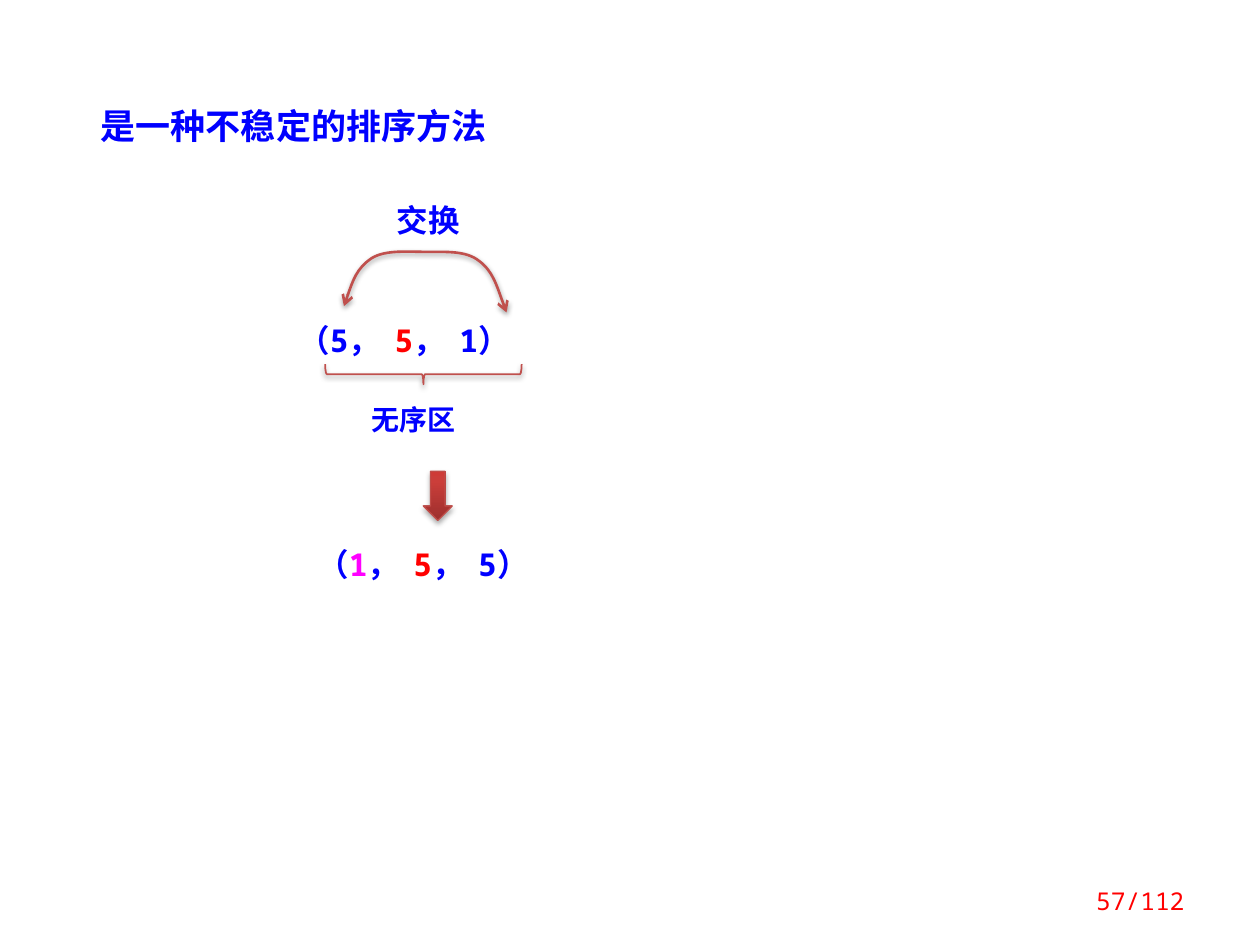
"""Slide showing why the sorting method is unstable, with a swap example."""
import copy

import pptx
import pptx.dml.color
import pptx.enum.shapes
import pptx.enum.text
import pptx.oxml
import pptx.oxml.ns
import pptx.util

Inches = pptx.util.Inches
Pt = pptx.util.Pt
RGBColor = pptx.dml.color.RGBColor
MSO_SHAPE = pptx.enum.shapes.MSO_SHAPE
PP_ALIGN = pptx.enum.text.PP_ALIGN
MSO_ANCHOR = pptx.enum.text.MSO_ANCHOR
qn = pptx.oxml.ns.qn

BLUE = RGBColor(0x00, 0x00, 0xFF)
RED = RGBColor(0xFF, 0x00, 0x00)
MAGENTA = RGBColor(0xFF, 0x00, 0xFF)
BRICK = RGBColor(0xC0, 0x50, 0x4D)
ARROW_EDGE = RGBColor(0xBF, 0x4C, 0x48)
ARROW_STOPS = [
    (0, RGBColor(0x9C, 0x2F, 0x2D)),
    (0.8, RGBColor(0xCB, 0x3E, 0x3A)),
    (1, RGBColor(0xCE, 0x3B, 0x37)),
]
CJK = "Noto Sans CJK SC"
MONO = "Noto Sans Mono"


def write_spans(box, spans, size, font, bold=True):
    frame = box.text_frame
    frame.word_wrap = True
    frame.vertical_anchor = MSO_ANCHOR.TOP
    para = frame.paragraphs[0]
    para.alignment = PP_ALIGN.LEFT
    for text, color in spans:
        span = para.add_run()
        span.text = text
        span.font.name = font
        span.font.size = Pt(size)
        span.font.bold = bold
        span.font.color.rgb = color
        east_asian = pptx.oxml.parse_xml(
            f'<a:ea {pptx.oxml.ns.nsdecls("a")} typeface="{CJK}"/>')
        span.font._element.find(qn("a:latin")).addnext(east_asian)
    return para


def outline_with_shadow(shape, color, width, distance, opacity):
    shape.line.color.rgb = color
    shape.line.width = Pt(width)
    shape.shadow.inherit = False
    shape._element.spPr.find(qn("a:effectLst")).append(pptx.oxml.parse_xml(
        f'<a:outerShdw {pptx.oxml.ns.nsdecls("a")} blurRad="{Pt(3.1)}" '
        f'dist="{Pt(distance)}" dir="5400000" rotWithShape="0">'
        f'<a:srgbClr val="000000"><a:alpha val="{opacity * 1000}"/></a:srgbClr>'
        '</a:outerShdw>'))


deck = pptx.Presentation()
deck.slide_width = Inches(10)
deck.slide_height = Inches(7.5)
page = deck.slides.add_slide(deck.slide_layouts[5])
shapes = page.shapes

title = shapes.title
title.left, title.top = Inches(0.7), Inches(0.78)
title.width, title.height = Inches(5.23), Inches(0.44)
write_spans(title, [("是一种不稳定的排序方法", BLUE)], 20, CJK)
title.text_frame.auto_size = pptx.enum.text.MSO_AUTO_SIZE.NONE

labels = [
    (2.27, 2.5, 2.5, 0.4, 18, MONO, 1,
     [("（5，  ", BLUE), ("5", RED), ("，  1）", BLUE)]),
    (2.85, 3.2, 0.98, 0.32, 16, MONO, 0.8, [("无序区", BLUE)]),
    (3.05, 1.55, 0.78, 0.4, 18, CJK, 1, [("交换", BLUE)]),
    (2.42, 4.28, 2.5, 0.4, 18, MONO, 1,
     [("（", BLUE), ("1", MAGENTA), ("，  ", BLUE), ("5", RED), ("，  5）", BLUE)]),
]
for left, top, width, height, size, font, spacing, spans in labels:
    box = shapes.add_textbox(Inches(left), Inches(top), Inches(width), Inches(height))
    write_spans(box, spans, size, font).line_spacing = spacing

brace = shapes.add_shape(
    MSO_SHAPE.RIGHT_BRACE, Inches(3.28), Inches(2.19), Inches(0.16), Inches(1.56))
brace.rotation = 90
brace.fill.background()
outline_with_shadow(brace, BRICK, 1, 1.6, 38)

curve_points = [
    (2.78, 2.28), (2.83, 2.13), (2.95, 2.05),
    (3.06, 1.98), (3.25, 2), (3.4, 2),
    (3.54, 2), (3.7, 1.99), (3.8, 2.07),
    (3.91, 2.15), (3.96, 2.32), (4.02, 2.48),
]
builder = shapes.build_freeform(Inches(2.73), Inches(2.43))
builder.add_line_segments([(Inches(x), Inches(y)) for x, y in curve_points], close=False)
swap_curve = builder.convert_to_shape()
swap_curve.fill.background()
outline_with_shadow(swap_curve, BRICK, 1.5, 1.6, 38)
curve_path = swap_curve._element.spPr.find(".//" + qn("a:path"))
segments = curve_path.findall(qn("a:lnTo"))
for start in range(0, len(segments), 3):
    bezier = pptx.oxml.parse_xml(f'<a:cubicBezTo {pptx.oxml.ns.nsdecls("a")}/>')
    for segment in segments[start:start + 3]:
        bezier.append(segment[0])
        curve_path.remove(segment)
    curve_path.append(bezier)
for end in ("headEnd", "tailEnd"):
    swap_curve.line._get_or_add_ln().append(pptx.oxml.parse_xml(
        f'<a:{end} {pptx.oxml.ns.nsdecls("a")} type="arrow"/>'))

down_arrow = shapes.add_shape(
    MSO_SHAPE.DOWN_ARROW, Inches(3.36), Inches(3.74), Inches(0.23), Inches(0.39))
down_arrow.fill.gradient()
down_arrow.fill.gradient_angle = 90
stop_list = down_arrow._element.spPr.find(".//" + qn("a:gsLst"))
stop_list.append(copy.deepcopy(stop_list[-1]))
for stop, (position, color) in zip(down_arrow.fill.gradient_stops, ARROW_STOPS):
    stop.position = position
    stop.color.rgb = color
outline_with_shadow(down_arrow, ARROW_EDGE, 0.75, 1.8, 35)

page_number = shapes.add_textbox(Inches(8.28), Inches(6.95), Inches(1.22), Inches(0.4))
number_para = write_spans(page_number, [("57/112", RED)], 14, MONO, bold=False)
number_para.alignment = PP_ALIGN.RIGHT
page_number.text_frame.vertical_anchor = MSO_ANCHOR.MIDDLE

deck.save("out.pptx")
